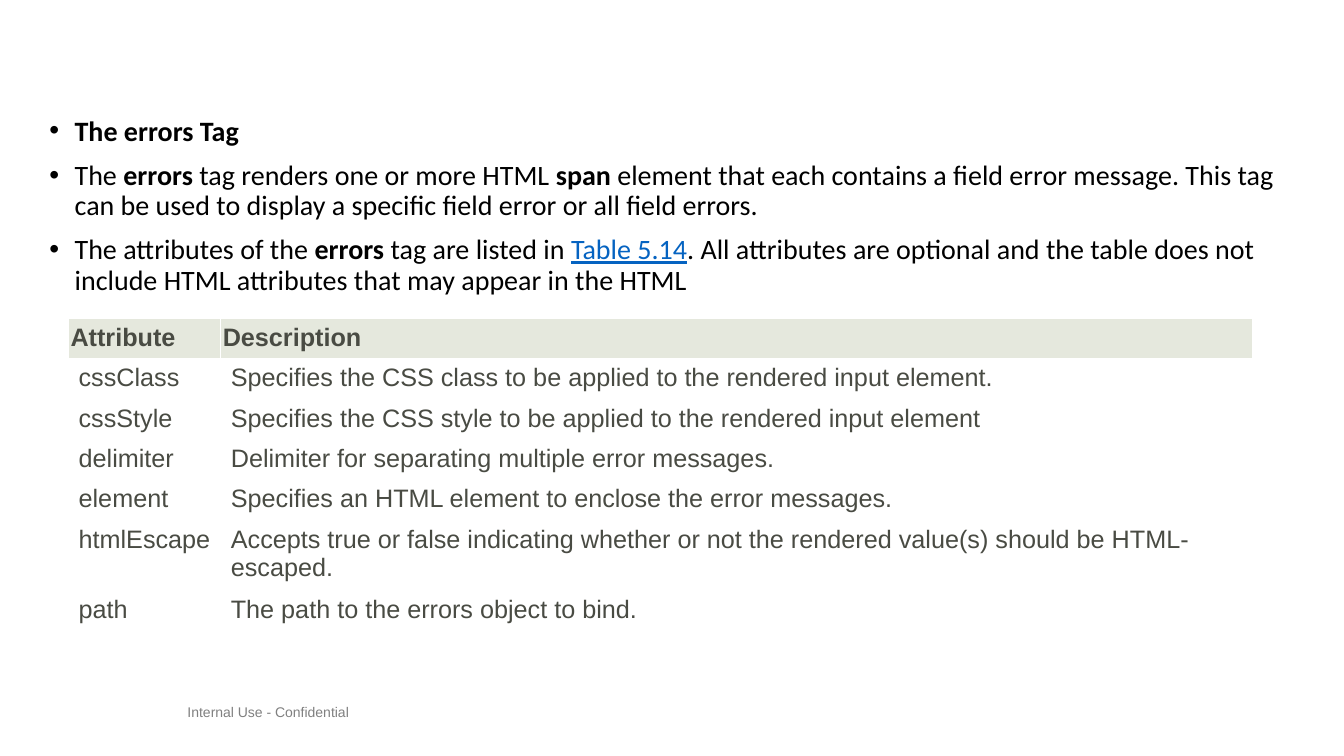
from pptx import Presentation
from pptx.dml.color import RGBColor
from pptx.enum.text import MSO_ANCHOR, MSO_AUTO_SIZE
from pptx.oxml import parse_xml
from pptx.oxml.ns import nsdecls
from pptx.util import Inches, Pt

BLACK, WHITE, GREY = "000000", "FFFFFF", "808080"
LINK, TABLE_TEXT, HEADER_FILL = "0563C1", "494B43", "E5E8DD"

# Each run is (text, style): "" plain, "b" bold, "u" link look
BULLETS = [
    [("The errors Tag", "b")],
    [("The ", ""), ("errors", "b"), (" tag renders one or more HTML ", ""),
     ("span", "b"),
     (" element that each contains a field error message. This tag can be "
      "used to display a specific field error or all field errors.", "")],
    [("The attributes of the ", ""), ("errors", "b"),
     (" tag are listed in ", ""), ("Table 5.14", "u"),
     (". All attributes are optional and the table does not include HTML "
      "attributes that may appear in the HTML", "")],
]

ATTRIBUTES = [
    ("Attribute", "Description"),
    ("cssClass", "Specifies the CSS class to be applied to the rendered input element."),
    ("cssStyle", "Specifies the CSS style to be applied to the rendered input element"),
    ("delimiter", "Delimiter for separating multiple error messages."),
    ("element", "Specifies an HTML element to enclose the error messages."),
    ("htmlEscape", "Accepts true or false indicating whether or not the rendered "
                   "value(s) should be HTML-escaped."),
    ("path", "The path to the errors object to bind."),
]
COLUMN_WIDTHS = (1.51, 10.23)
ROW_HEIGHT, WRAPPED_ROW_HEIGHT = 0.35, 0.61


def rgb(color):
    return RGBColor.from_string(color)


def add_run(p, text, size, font, color, bold=False, underline=False):
    r = p.add_run()
    r.text = text
    r.font.size = Pt(size)
    r.font.name = font
    r.font.color.rgb = rgb(color)
    r.font.bold = bold
    r.font.underline = underline


def place(s, left, top, width, height):
    s.left, s.top = Inches(left), Inches(top)
    s.width, s.height = Inches(width), Inches(height)


def add_bullet(p):
    pPr = p._p.get_or_add_pPr()
    pPr.set("marL", str(Inches(0.25)))
    pPr.set("indent", str(-Inches(0.25)))
    pPr.append(parse_xml(f'<a:buFont {nsdecls("a")} typeface="Arial"/>'))
    pPr.append(parse_xml(f'<a:buChar {nsdecls("a")} char="•"/>'))


def fill_body(body):
    place(body, 0.39, 1.11, 12.6, 6.26)
    tf = body.text_frame
    tf.auto_size = MSO_AUTO_SIZE.NONE
    tf.vertical_anchor = MSO_ANCHOR.TOP
    for i, runs in enumerate(BULLETS):
        p = tf.add_paragraph() if i else tf.paragraphs[0]
        add_bullet(p)
        p.line_spacing = 0.9
        p.space_before = Pt(10 if i else 0)
        for text, style in runs:
            add_run(p, text, 20, "Calibri", LINK if style == "u" else BLACK,
                    style == "b", style == "u")


def set_borders(cell, color, width):
    tcPr = cell._tc.get_or_add_tcPr()
    for i, side in enumerate(("lnL", "lnR", "lnT", "lnB")):
        tcPr.insert(i, parse_xml(
            f'<a:{side} {nsdecls("a")} w="{Pt(width)}"><a:solidFill>'
            f'<a:srgbClr val="{color}"/></a:solidFill></a:{side}>'))


def fill_cell(cell, text, header):
    cell.fill.solid()
    cell.fill.fore_color.rgb = rgb(HEADER_FILL if header else WHITE)
    set_borders(cell, WHITE, 0.75)
    if header:
        cell.margin_left = cell.margin_right = Inches(0.02)
    add_run(cell.text_frame.paragraphs[0], text, 18, "Arial", TABLE_TEXT, header)


def add_attribute_table(slide):
    frame = slide.shapes.add_table(
        len(ATTRIBUTES), len(COLUMN_WIDTHS), Inches(0.68), Inches(3.16),
        Inches(sum(COLUMN_WIDTHS)), Inches(3.1))
    table = frame.table
    table.first_row = table.horz_banding = False
    for column, width in zip(table.columns, COLUMN_WIDTHS):
        column.width = Inches(width)
    for i, texts in enumerate(ATTRIBUTES):
        wrapped = texts[0] == "htmlEscape"
        table.rows[i].height = Inches(WRAPPED_ROW_HEIGHT if wrapped else ROW_HEIGHT)
        for j, text in enumerate(texts):
            fill_cell(table.cell(i, j), text, i == 0)


def add_footer(slide):
    s = slide.shapes.add_textbox(Inches(0), Inches(6.93), Inches(13.33), Inches(0.61))
    tf = s.text_frame
    tf.word_wrap = True
    tf.margin_left = Inches(1.86)
    add_run(tf.paragraphs[0], "Internal Use - Confidential", 10, "Arial", GREY)


def main():
    prs = Presentation()
    prs.slide_width, prs.slide_height = Inches(13.33), Inches(7.5)
    slide = prs.slides.add_slide(prs.slide_layouts[1])

    # The slide has no title
    title = slide.shapes.title
    title.element.getparent().remove(title.element)

    add_footer(slide)
    fill_body(slide.placeholders[1])
    add_attribute_table(slide)
    prs.save("out.pptx")


if __name__ == "__main__":
    main()
